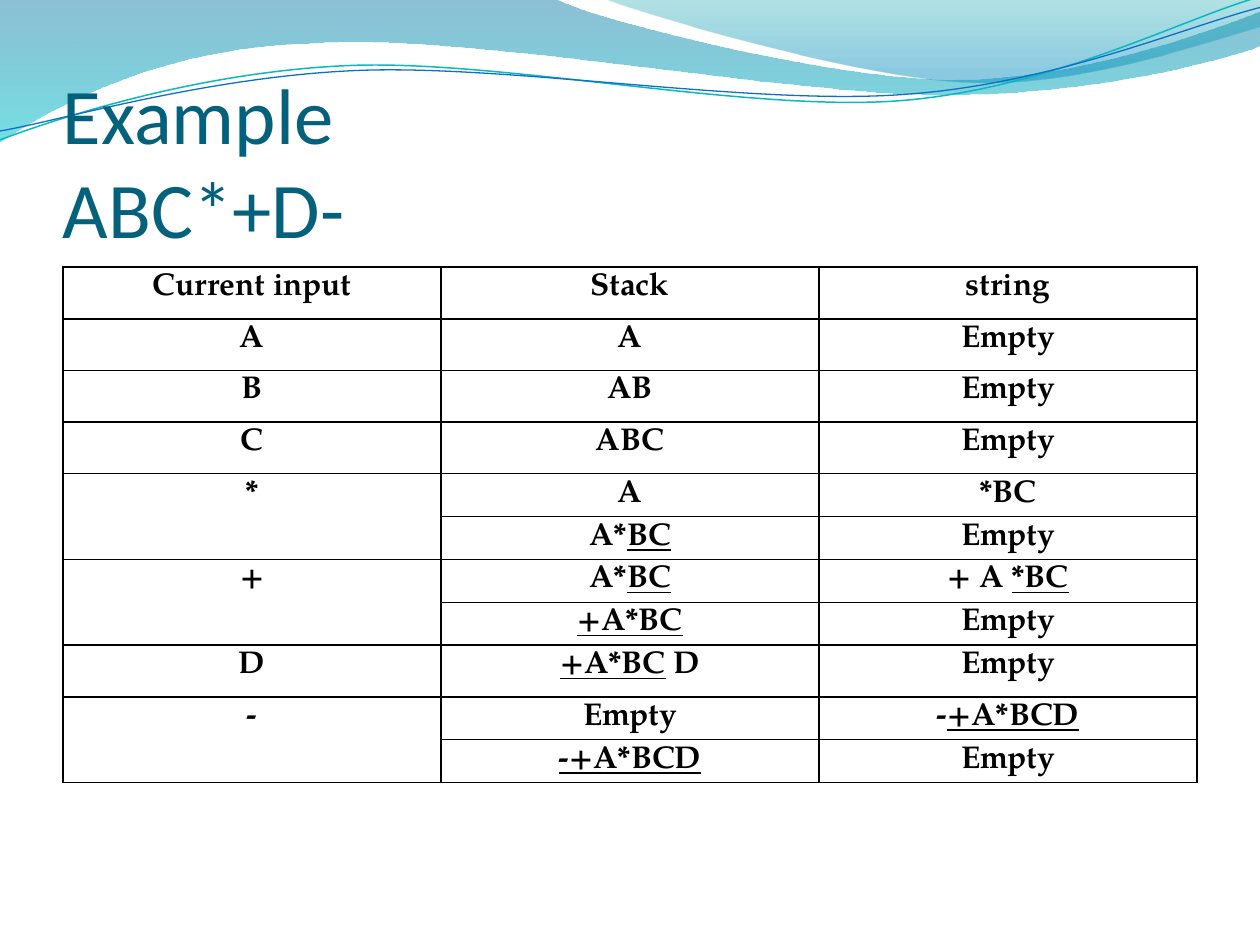
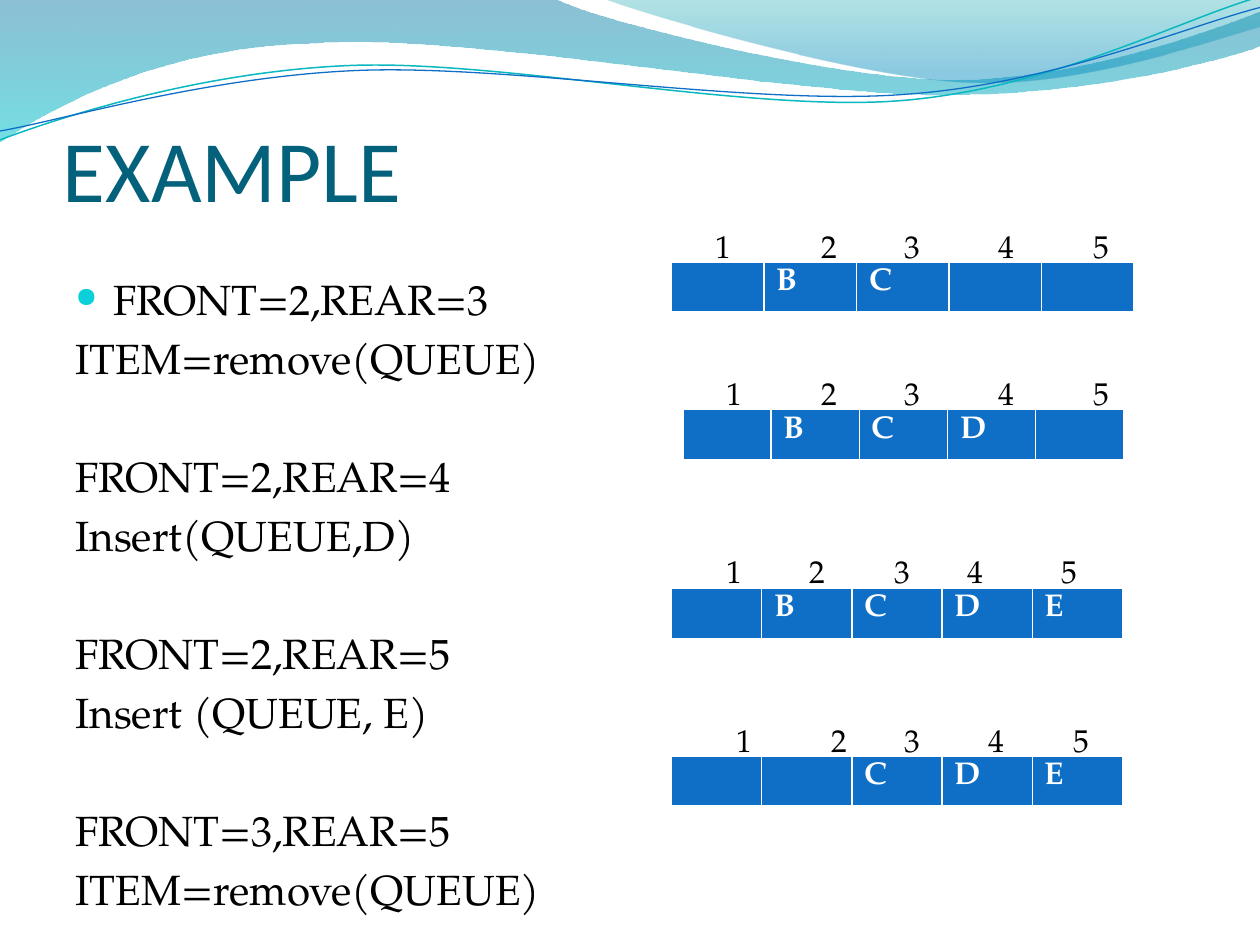
import math
from dataclasses import dataclass

from lxml import etree
from pptx import Presentation
from pptx import util as u
from pptx.dml.color import RGBColor
from pptx.enum import text
from pptx.oxml.ns import qn

EMU_PER_PX = 9144
STRAND_TILT = 2.7
HEADING_FONT = "Calibri"
BODY_FONT = "TeX Gyre Pagella"
TITLE_TEAL = RGBColor(0x04, 0x61, 0x7B)
QUEUE_BLUE = RGBColor(0x0F, 0x6F, 0xC6)
LINE_TEAL = RGBColor(0x0A, 0xB8, 0xBF)
BULLET_CYAN = RGBColor(0x0B, 0xD0, 0xD9)
WAVE_BLUE = RGBColor(0x00, 0x74, 0xA1)
WAVE_CYAN = RGBColor(0x00, 0xC6, 0xCF)
CREST_TEAL = RGBColor(0x00, 0xA1, 0xA9)
CREST_BLUE = RGBColor(0x00, 0x8B, 0xBF)
BLACK = RGBColor(0, 0, 0)
WHITE = RGBColor(255, 255, 255)

Point = tuple[float, float]
Segments = tuple[tuple[Point, ...], ...]


@dataclass(frozen=True)
class Stop:
    position: float
    color: RGBColor
    opacity: int


@dataclass(frozen=True)
class Band:
    start: Point
    segments: Segments
    stops: tuple[Stop, Stop]


@dataclass(frozen=True)
class Strand:
    start: Point
    segments: Segments
    center: Point
    color: RGBColor
    weight: float


@dataclass(frozen=True)
class Queue:
    left: int
    top: int
    width: int
    items: tuple[str, ...]
    label_top: int
    label_lefts: tuple[int, ...]


@dataclass(frozen=True)
class Step:
    symbol: str
    states: tuple[tuple[str, str], ...]


BANDS = (
    Band((0, 0), (
        ((440, -1),),
        ((476, 17), (664, 63), (758, 63)),
        ((853, 63), (958, 26), (1000, 9)),
        ((1001, 36),),
        ((983, 44), (870, 76), (746, 75)),
        ((622, 75), (382, 28), (257, 34)),
        ((129, 36), (46, 83), (-1, 113)),
    ), (Stop(0, WAVE_BLUE, 45), Stop(1, WAVE_CYAN, 55))),
    Band((479, -1), (
        ((509, 11), (682, 62), (769, 65)),
        ((856, 69), (961, 32), (1000, 21)),
        ((1000, 0),),
    ), (Stop(0, CREST_TEAL, 30), Stop(0.8, CREST_BLUE, 45))),
)
STRANDS = (
    Strand((0, 111), (
        ((48, 93), (158, 57), (277, 52)),
        ((395, 47), (593, 89), (713, 80)),
        ((833, 71), (938, 15), (998, -2)),
    ), (499, 58), LINE_TEAL, 0.85),
    Strand((0, 104), (
        ((47, 96), (164, 61), (283, 56)),
        ((403, 51), (597, 84), (717, 75)),
        ((836, 67), (941, 21), (1000, 6)),
    ), (500, 59), QUEUE_BLUE, 0.75),
)
STEPS = (
    Step("Current input", (("Stack", "string"),)),
    Step("A", (("A", "Empty"),)),
    Step("B", (("AB", "Empty"),)),
    Step("C", (("ABC", "Empty"),)),
    Step("*", (("A", "*BC"), ("A*_BC_", "Empty"))),
    Step("+", (("A*_BC_", "+ A _*BC_"), ("_+A*BC_", "Empty"))),
    Step("D", (("_+A*BC_ D", "Empty"),)),
    Step("-", (("Empty", "-_+A*BCD_"), ("_-+A*BCD_", "Empty"))),
)
OPERATIONS = (
    ("FRONT=2,REAR=3", "ITEM=remove(QUEUE)"),
    ("FRONT=2,REAR=4", "Insert(QUEUE,D)"),
    ("FRONT=2,REAR=5", "Insert (QUEUE, E)"),
    ("FRONT=3,REAR=5", "ITEM=remove(QUEUE)"),
)
QUEUES = (
    Queue(533, 208, 367, ("", "B", "C", "", ""), 175, (558, 642, 708, 783, 858)),
    Queue(542, 325, 350, ("", "B", "C", "D", ""), 292, (567, 642, 708, 783, 858)),
    Queue(533, 467, 358, ("", "B", "C", "D", "E"), 433, (567, 633, 700, 758, 833)),
    Queue(533, 600, 358, ("", "", "C", "D", "E"), 567, (575, 650, 708, 775, 842)),
)


def px(value: float) -> u.Emu:
    return u.Emu(round(value * EMU_PER_PX))


def turn(point: Point, center: Point, degrees: float) -> Point:
    dx, dy = point[0] - center[0], point[1] - center[1]
    cos, sin = math.cos(math.radians(degrees)), math.sin(math.radians(degrees))
    return center[0] + dx * cos - dy * sin, center[1] + dx * sin + dy * cos


def draw_outline(slide, outline: Band | Strand, closed: bool, center: Point = (0, 0), tilt: float = 0):
    points = [outline.start, *(point for segment in outline.segments for point in segment)]
    first, *rest = [tuple(map(px, turn(point, center, tilt))) for point in points]
    builder = slide.shapes.build_freeform(*first, scale=1.0)
    builder.add_line_segments(rest, close=closed)
    shape = builder.convert_to_shape()
    shape.shadow.inherit = False
    shape.rotation = -tilt
    lines = iter(list(shape.element.iter(qn("a:lnTo"))))
    for segment in outline.segments:
        steps = [next(lines) for _ in segment]
        if len(steps) == 3:
            curve = etree.Element(qn("a:cubicBezTo"))
            steps[0].addprevious(curve)
            for step in steps:
                curve.append(step[0])
                step.getparent().remove(step)
    return shape


def draw_band(slide, band: Band):
    shape = draw_outline(slide, band, True)
    shape.line.fill.background()
    shape.fill.gradient()
    shape.fill.gradient_angle = 270
    for gradient_stop, stop in zip(shape.fill.gradient_stops, band.stops):
        gradient_stop.position = stop.position
        gradient_stop.color.rgb = stop.color
    colors = shape.element.spPr.iter(qn("a:srgbClr"))
    for color, stop in zip(list(colors), band.stops):
        etree.SubElement(color, qn("a:alpha"), val=str(stop.opacity * 1000))
    return shape


def draw_strand(slide, strand: Strand):
    shape = draw_outline(slide, strand, False, strand.center, STRAND_TILT)
    shape.fill.background()
    shape.line.color.rgb = strand.color
    shape.line.width = u.Pt(strand.weight)
    return shape


def decorate_layout(slide) -> None:
    layout = slide.slide_layout
    for placeholder in list(layout.placeholders):
        layout.shapes.element.remove(placeholder.element)
    waves = [draw_band(slide, band) for band in BANDS]
    waves += [draw_strand(slide, strand) for strand in STRANDS]
    for wave in waves:
        layout.shapes.element.append(wave.element)


def format_runs(paragraph, font: str, size: float, color: RGBColor, bold: bool = False) -> None:
    for run in paragraph.runs:
        run.font.name = font
        run.font.size = u.Pt(size)
        run.font.color.rgb = color
        run.font.bold = bold


def add_title(slide, wording: str, top: int, size: int) -> None:
    frame = slide.shapes.add_textbox(px(50), px(top), px(900), px(125)).text_frame
    frame.word_wrap = True
    frame.vertical_anchor = text.MSO_ANCHOR.BOTTOM
    frame.margin_left = frame.margin_right = frame.margin_bottom = 0
    frame.text = wording
    format_runs(frame.paragraphs[0], HEADING_FONT, size, TITLE_TEAL)


def add_plain_table(slide, left: int, top: int, width: int, row_heights: list[int], columns: int):
    frame = slide.shapes.add_table(len(row_heights), columns, px(left), px(top),
                                   px(width), px(sum(row_heights)))
    table = frame.table
    table.first_row = table.horz_banding = False
    for column in table.columns:
        column.width = px(width / columns)
    for row, height in zip(table.rows, row_heights):
        row.height = px(height)
    return table


def set_borders(cell, color: RGBColor, bottom: int = 1) -> None:
    properties = cell._tc.get_or_add_tcPr()
    for side, weight in (("L", 1), ("R", 1), ("T", 1), ("B", bottom)):
        line = etree.SubElement(properties, qn(f"a:ln{side}"), w=str(u.Pt(weight)))
        fill = etree.SubElement(line, qn("a:solidFill"))
        etree.SubElement(fill, qn("a:srgbClr"), val=str(color))


def write_cell(cell, marked: str, color: RGBColor, align: text.PP_ALIGN) -> None:
    cell.margin_top, cell.margin_bottom = px(7), px(3)
    paragraph = cell.text_frame.paragraphs[0]
    paragraph.alignment = align
    paragraph.line_spacing = 0.8
    for index, piece in enumerate(marked.split("_")):
        if piece:
            run = paragraph.add_run()
            run.text = piece
            run.font.underline = index % 2 == 1
    format_runs(paragraph, BODY_FONT, 18, color, bold=True)


def add_conversion_table(slide) -> None:
    heights = [41 if len(step.states) == 1 else 20 for step in STEPS for _ in step.states]
    table = add_plain_table(slide, 50, 212, 900, heights, 3)
    for cell in table.iter_cells():
        set_borders(cell, BLACK)
        cell.fill.background()
    row = 0
    for step in STEPS:
        symbol_cell = table.cell(row, 0)
        if len(step.states) > 1:
            symbol_cell.merge(table.cell(row + len(step.states) - 1, 0))
        write_cell(symbol_cell, step.symbol, BLACK, text.PP_ALIGN.CENTER)
        for state in step.states:
            for column, wording in enumerate(state, 1):
                write_cell(table.cell(row, column), wording, BLACK, text.PP_ALIGN.CENTER)
            row += 1


def add_bullet(paragraph) -> None:
    properties = paragraph._p.get_or_add_pPr()
    color = etree.SubElement(properties, qn("a:buClr"))
    etree.SubElement(color, qn("a:srgbClr"), val=str(BULLET_CYAN))
    etree.SubElement(properties, qn("a:buSzPct"), val="66000")
    etree.SubElement(properties, qn("a:buChar"), char="●")


def add_operations(slide) -> None:
    frame = slide.shapes.add_textbox(px(50), px(212), px(900), px(480)).text_frame
    frame.word_wrap = True
    frame.text = "\n".join(line for pair in OPERATIONS for line in pair)
    for index, paragraph in enumerate(frame.paragraphs):
        starts_group = index > 0 and index % 2 == 0
        paragraph.space_before = u.Pt(38.5 if starts_group else 4.8)
        properties = paragraph._p.get_or_add_pPr()
        properties.set("marL", str(px(30)))
        properties.set("indent", str(px(-30)))
        format_runs(paragraph, BODY_FONT, 24.1, BLACK)
    add_bullet(frame.paragraphs[0])


def add_queue(slide, queue: Queue) -> None:
    table = add_plain_table(slide, queue.left, queue.top, queue.width, [41], len(queue.items))
    for cell, item in zip(table.iter_cells(), queue.items):
        set_borders(cell, WHITE, bottom=3)
        cell.fill.solid()
        cell.fill.fore_color.rgb = QUEUE_BLUE
        write_cell(cell, item, WHITE, text.PP_ALIGN.LEFT)
    for position, left in enumerate(queue.label_lefts, 1):
        frame = slide.shapes.add_textbox(px(left), px(queue.label_top), px(33), px(40)).text_frame
        frame.word_wrap = False
        frame.auto_size = text.MSO_AUTO_SIZE.SHAPE_TO_FIT_TEXT
        frame.text = str(position)
        format_runs(frame.paragraphs[0], BODY_FONT, 18, BLACK)


def main() -> None:
    deck = Presentation()
    deck.slide_width, deck.slide_height = px(1000), px(750)
    blank = deck.slide_layouts[6]

    conversion = deck.slides.add_slide(blank)
    decorate_layout(conversion)
    add_title(conversion, "Example \vABC*+D-", 77, 45)
    add_conversion_table(conversion)

    queues = deck.slides.add_slide(blank)
    add_title(queues, "EXAMPLE", 50, 50)
    add_operations(queues)
    for queue in QUEUES:
        add_queue(queues, queue)

    deck.save("out.pptx")


if __name__ == "__main__":
    main()
